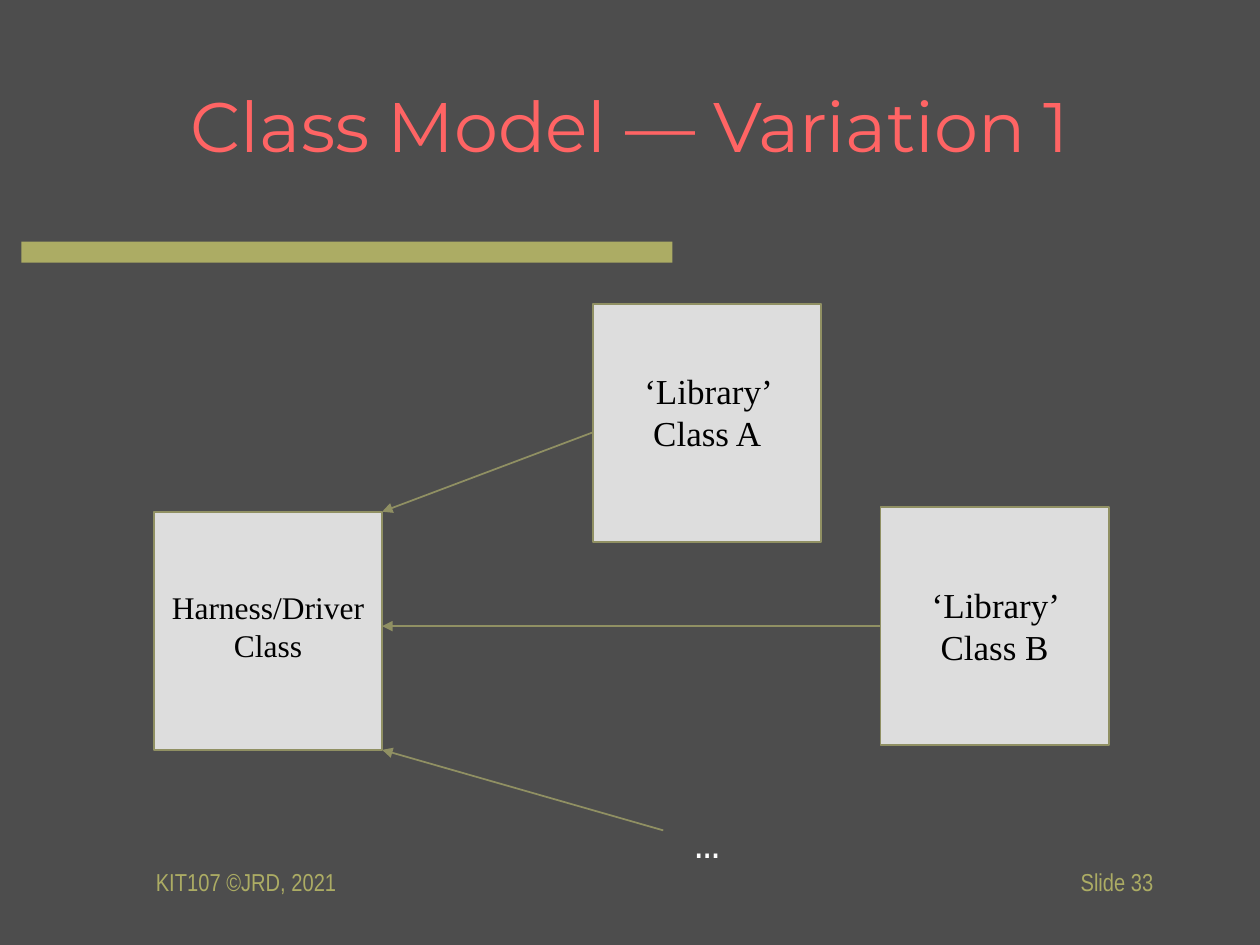
import lxml.etree
import pptx
import pptx.dml.color
import pptx.enum.shapes
import pptx.enum.text
import pptx.oxml.ns
import pptx.util

Pt = pptx.util.Pt
RGBColor = pptx.dml.color.RGBColor
ALIGN = pptx.enum.text.PP_ALIGN
ANCHOR = pptx.enum.text.MSO_ANCHOR
RECTANGLE = pptx.enum.shapes.MSO_SHAPE.RECTANGLE

CHARCOAL = RGBColor(0x4D, 0x4D, 0x4D)
OLIVE = RGBColor(0xAC, 0xAC, 0x64)
DARK_OLIVE = RGBColor(0x90, 0x90, 0x63)
CORAL = RGBColor(0xFF, 0x64, 0x64)
SILVER = RGBColor(0xDD, 0xDD, 0xDD)
BLACK = RGBColor(0, 0, 0)
WHITE = RGBColor(0xFF, 0xFF, 0xFF)

CLASS_WIDTH, CLASS_HEIGHT = 130.4, 136.1


def add_text(page, box, text, font, size, color, align=ALIGN.CENTER, anchor=ANCHOR.TOP):
    """Place text in a (left, top, width, height) box."""
    frame = page.shapes.add_textbox(*map(Pt, box)).text_frame
    frame.word_wrap = True
    frame.vertical_anchor = anchor
    frame.text = text
    for para in frame.paragraphs:
        para.alignment = align
        for span in para.runs:
            span.font.name = font
            span.font.size = Pt(size)
            span.font.color.rgb = color


def add_rectangle(page, box, fill, line=None):
    """Place a flat rectangle, outlined if a line colour is given."""
    shape = page.shapes.add_shape(RECTANGLE, *map(Pt, box))
    shape.shadow.inherit = False
    shape.fill.solid()
    shape.fill.fore_color.rgb = fill
    if line is None:
        shape.line.fill.background()
    else:
        shape.line.color.rgb = line
        shape.line.width = Pt(1)


def add_arrow(page, start, end):
    """Draw a line from start to end with a triangle at the end."""
    straight = pptx.enum.shapes.MSO_CONNECTOR.STRAIGHT
    arrow = page.shapes.add_connector(straight, *map(Pt, start + end))
    arrow.line.color.rgb = DARK_OLIVE
    arrow.line.width = Pt(1)
    qn = pptx.oxml.ns.qn
    lxml.etree.SubElement(arrow.line._get_or_add_ln(), qn("a:tailEnd"), type="triangle")
    lxml.etree.SubElement(arrow._element.spPr, qn("a:effectLst"))


def add_class(page, left, top, text, size, text_top, text_height):
    """Draw one class square with its label text_top below the upper edge."""
    add_rectangle(page, (left, top, CLASS_WIDTH, CLASS_HEIGHT), SILVER, DARK_OLIVE)
    label = (left, top + text_top, CLASS_WIDTH, text_height)
    add_text(page, label, text, "Times New Roman", size, BLACK)


def add_header(page, left, top):
    """Place the title and the bar below it."""
    add_text(page, (left + 41.8, top, 612, 90), "Class Model — Variation 1",
             "Montserrat", 40, CORAL, anchor=ANCHOR.MIDDLE)
    add_rectangle(page, (left, top + 112.2, 372, 12), OLIVE)


def add_footer(page, left, top):
    """Place the credit at the left and the slide number at the right."""
    for offset, text, align in ((0, "KIT107 ©JRD, 2021", ALIGN.LEFT),
                                (434.2, "Slide 33", ALIGN.RIGHT)):
        add_text(page, (left + offset, top, 150, 36), text,
                 "Arial Narrow", 14, OLIVE, align, ANCHOR.MIDDLE)


def add_class_diagram(page, left, top):
    """Draw the driver class, its library classes and the arrows between them."""
    driver_top = top + 118.9
    library_left = left + 251
    second_left, second_top = left + 415.2, top + 116.2
    add_class(page, left, driver_top, "Harness/Driver\nClass", 18, 40.3, 50.4)
    add_class(page, library_left, top, "‘Library’ Class A", 20, 34, 55.4)
    add_class(page, second_left, second_top, "‘Library’ Class B", 20, 40.3, 55.4)
    add_text(page, (library_left, top + 289.5, CLASS_WIDTH, 36), "…",
             "Courier New", 24, WHITE)
    driver_right = left + CLASS_WIDTH
    middle = top + 184.3
    add_arrow(page, (library_left, top + 73.5), (driver_right, driver_top))
    add_arrow(page, (left + 291, top + 301), (driver_right, driver_top + CLASS_HEIGHT))
    add_arrow(page, (second_left, middle), (driver_right, middle))


def main():
    """Build the slide and save it."""
    deck = pptx.Presentation()
    deck.slide_width, deck.slide_height = Pt(720), Pt(540)
    page = deck.slides.add_slide(deck.slide_layouts[6])
    page.background.fill.solid()
    page.background.fill.fore_color.rgb = CHARCOAL
    add_header(page, 12.2, 25.9)
    add_footer(page, 82, 485.6)
    add_class_diagram(page, 88, 173.5)
    deck.save("out.pptx")


if __name__ == "__main__":
    main()
